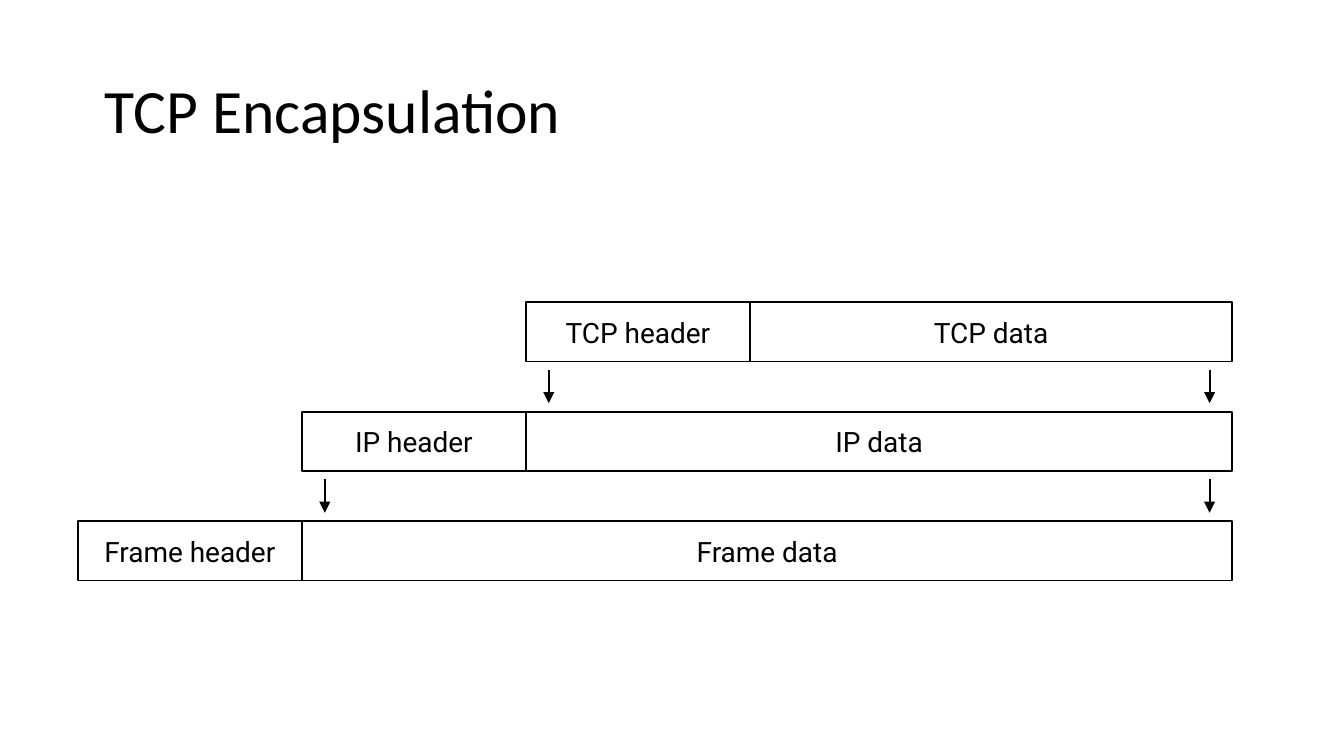
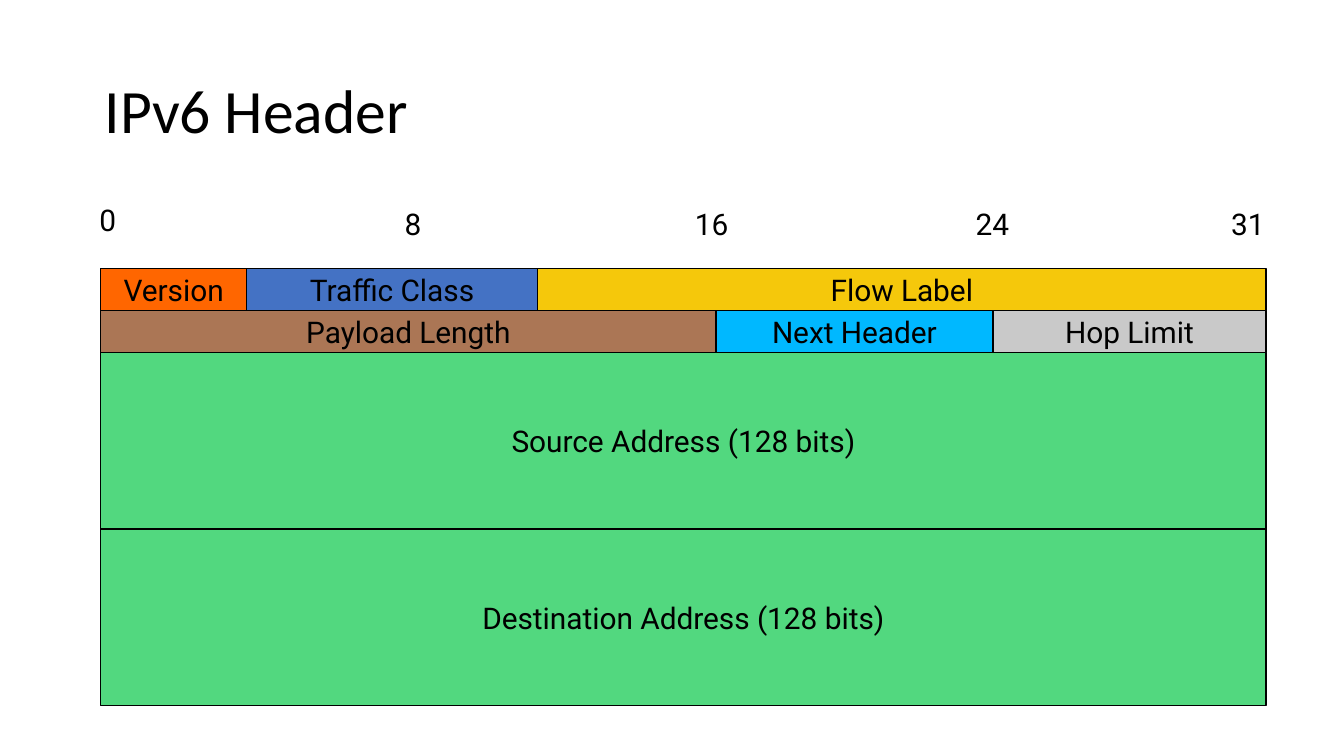
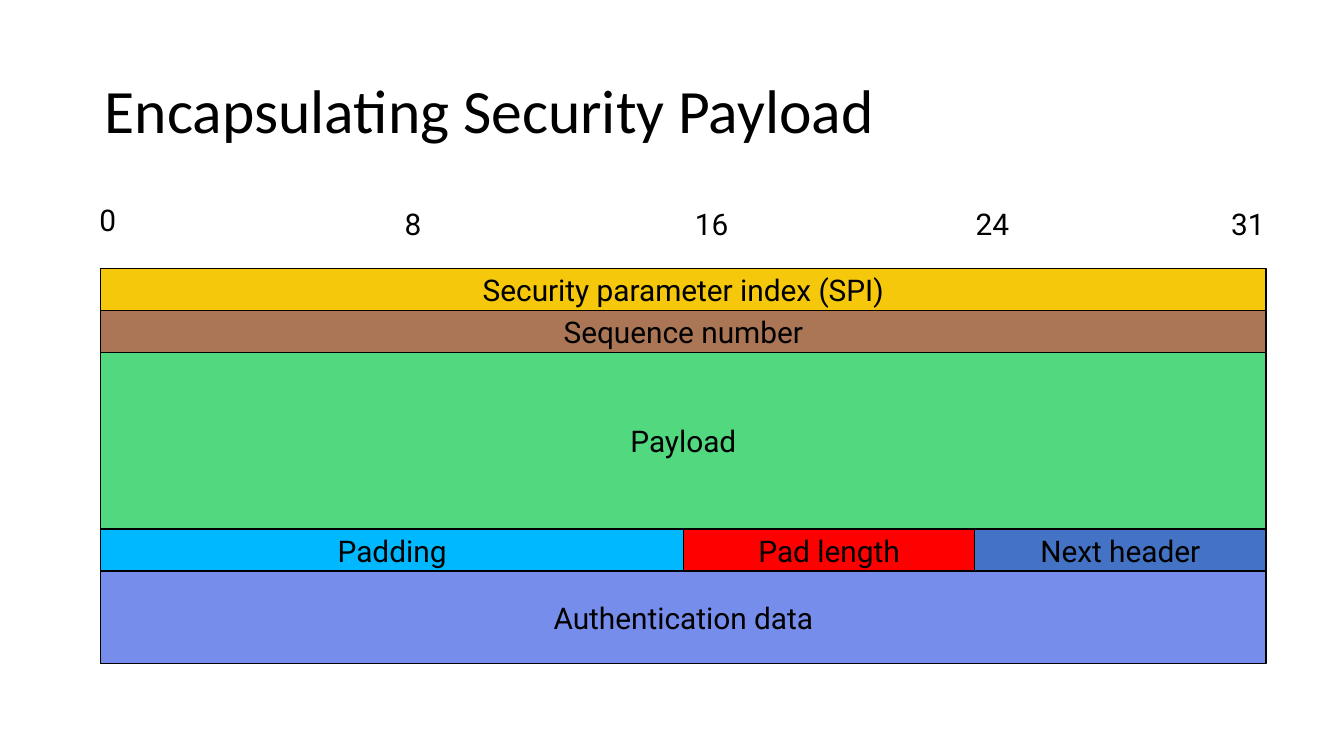
from lxml.etree import SubElement
from pptx import Presentation
from pptx.dml.color import RGBColor
from pptx.enum.shapes import MSO_CONNECTOR, MSO_SHAPE
from pptx.enum.text import MSO_ANCHOR, MSO_AUTO_SIZE, PP_ALIGN
from pptx.oxml.ns import qn
from pptx.util import Inches, Pt

W, H = 10, 5.625
INK = "000000"
GOLD, BROWN, GREEN, SKY, BLUE = "F5C80B", "AB7655", "52D87F", "00B8FF", "4472C4"

prs = Presentation()
prs.slide_width, prs.slide_height = Inches(W), Inches(H)


def rgb(value):
    return RGBColor.from_string(value)


def add_text(s, text, x, y, w, h, size=16, font="Roboto", line=None, fill=None,
             align=PP_ALIGN.CENTER, anchor=MSO_ANCHOR.MIDDLE, wrap=False,
             spacing=None, grow=False):
    """Add a text box, or a rectangle when a line width is given."""
    at = [Inches(v) for v in (x, y, w, h)]
    if line:
        sp = s.shapes.add_shape(MSO_SHAPE.RECTANGLE, *at)
        sp.shadow.inherit = False
        sp.line.color.rgb = rgb(INK)
        sp.line.width = Pt(line)
        if fill:
            sp.fill.solid()
            sp.fill.fore_color.rgb = rgb(fill)
        else:
            sp.fill.background()
    else:
        sp = s.shapes.add_textbox(*at)
    tf = sp.text_frame
    tf.word_wrap = wrap
    tf.auto_size = MSO_AUTO_SIZE.SHAPE_TO_FIT_TEXT if grow else MSO_AUTO_SIZE.NONE
    tf.vertical_anchor = anchor
    tf.margin_left = tf.margin_right = Inches(0.09)
    tf.margin_top = tf.margin_bottom = Inches(0.04)
    p = tf.paragraphs[0]
    p.alignment = align
    p.line_spacing = spacing
    r = p.add_run()
    r.text = text
    r.font.name, r.font.size = font, Pt(size)
    r.font.color.rgb = rgb(INK)


# Slides with their shared title
slides = []
for title in ("TCP Encapsulation", "IPv6 Header", "Encapsulating Security Payload"):
    s = prs.slides.add_slide(prs.slide_layouts[6])
    add_text(s, title, 0.69, 0.3, 8.62, 1.09, size=33, font="Calibri",
             align=PP_ALIGN.LEFT, wrap=True, spacing=0.9)
    slides.append(s)

# Encapsulation: each layer up starts one header width further right
s = slides[0]
header_w, layer_h, layer_step = W / 6, 0.44, 0.815
left, right, bottom_y = 0.58, 9.17, 3.88
for i, layer in enumerate(("Frame", "IP", "TCP")):
    x, y = left + i * header_w, bottom_y - i * layer_step
    data_x = x + header_w
    add_text(s, f"{layer} header", x, y, header_w, layer_h, size=15, line=1)
    add_text(s, f"{layer} data", data_x, y, right - data_x, layer_h, size=15, line=1)
    if i == 0:
        continue
    # Arrows down to the layer below
    for arrow_x in (x + 0.17, right - 0.17):
        c = s.shapes.add_connector(
            MSO_CONNECTOR.STRAIGHT, Inches(arrow_x), Inches(y + 0.5),
            Inches(arrow_x), Inches(y + 0.75))
        c.line.color.rgb = rgb(INK)
        c.line.width = Pt(1)
        SubElement(c.line._get_or_add_ln(), qn("a:tailEnd"), type="triangle")
        SubElement(c._element.spPr, qn("a:effectLst"))

# Packet headers: rows of (height in rows, fields of (name, bits, colour))
ipv6 = [
    (1, [("Version", 4, "FF6600"), ("Traffic Class", 8, BLUE), ("Flow Label", 20, GOLD)]),
    (1, [("Payload Length", 16.9, BROWN), ("Next Header", 7.6, SKY),
         ("Hop Limit", 7.5, "C9C9C9")]),
    (4.2, [("Source Address (128 bits)", 32, GREEN)]),
    (4.2, [("Destination Address (128 bits)", 32, GREEN)]),
]
esp = [
    (1, [("Security parameter index (SPI)", 32, GOLD)]),
    (1, [("Sequence number", 32, BROWN)]),
    (4.2, [("Payload", 32, GREEN)]),
    (1, [("Padding", 16, SKY), ("Pad length", 8, "FF0000"), ("Next header", 8, BLUE)]),
    (2.2, [("Authentication data", 32, "778DEB")]),
]
bit_marks = [("0", 0.65, 1.46), ("8", 2.92, 1.49), ("16", 5.08, 1.49),
             ("24", 7.17, 1.49), ("31", 9.07, 1.49)]
bit_w, row_h = 8.67 / 32, H / 18

for s, rows in zip(slides[1:], (ipv6, esp)):
    # Bit scale
    for mark, x, y in bit_marks:
        add_text(s, mark, x, y, 0.3 if len(mark) == 1 else 0.43, 0.36,
                 align=PP_ALIGN.LEFT, anchor=MSO_ANCHOR.TOP, grow=True)
    # Fields
    y = 2
    for height, fields in rows:
        x = 0.75
        for name, bits, colour in fields:
            add_text(s, name, x, y, bits * bit_w, height * row_h, line=0.75, fill=colour)
            x += bits * bit_w
        y += height * row_h

prs.save("out.pptx")
